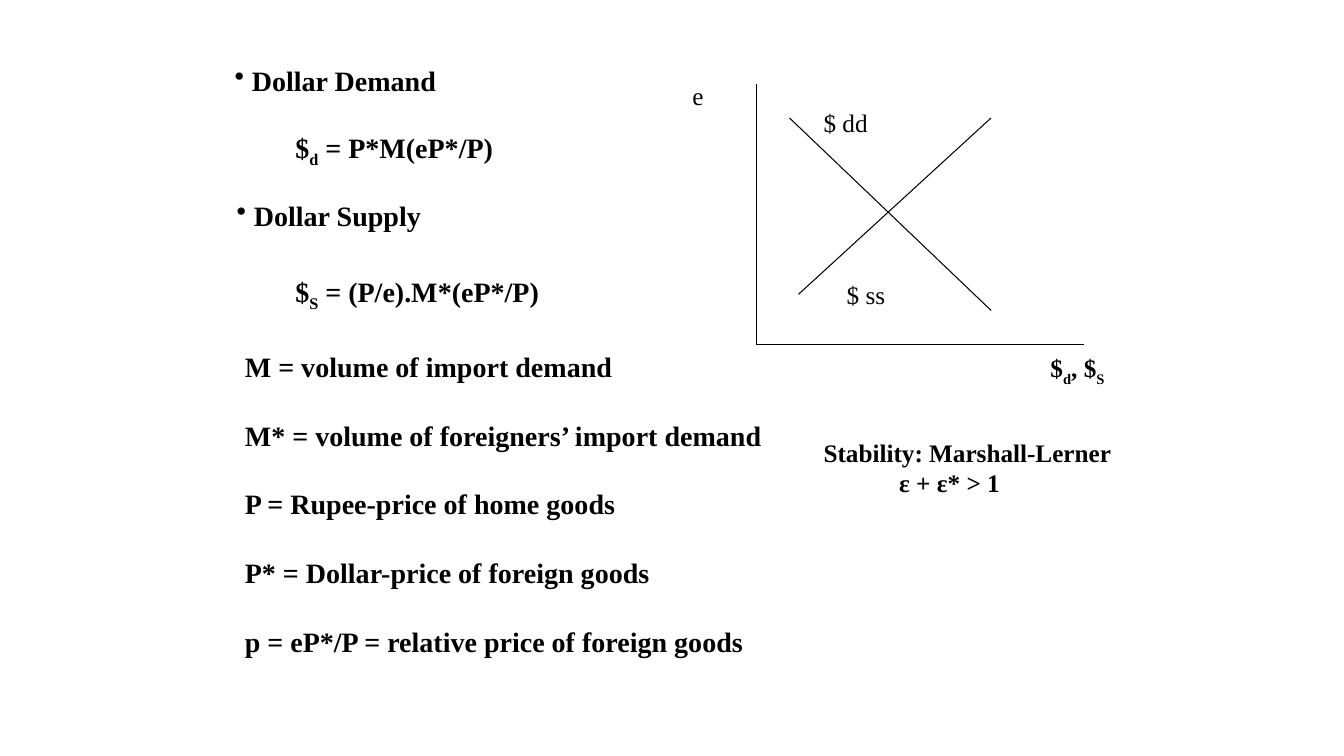
"""Build the slide on dollar demand, dollar supply and stability."""
from dataclasses import dataclass

from lxml.etree import SubElement
from pptx import Presentation
from pptx.dml.color import RGBColor
from pptx.enum.shapes import MSO_CONNECTOR
from pptx.enum.text import MSO_AUTO_SIZE
from pptx.oxml.ns import qn
from pptx.slide import Slide
from pptx.util import Inches, Pt


@dataclass(frozen=True)
class Theme:
    """Colours, font and type sizes."""
    ink: RGBColor = RGBColor(0, 0, 0)
    font: str = "Times New Roman"
    body: int = 20
    label: int = 18
    line: float = 0.75


@dataclass(frozen=True)
class Para:
    """One paragraph whose runs alternate between normal and subscript."""
    runs: tuple[str, ...]
    bullet: bool = False
    margin: float = 0
    before: float = 0


@dataclass(frozen=True)
class Note:
    """A text box with its place and style."""
    left: float
    top: float
    width: float
    height: float
    paras: tuple[Para, ...]
    size: int
    bold: bool = True
    wrap: bool = False


@dataclass(frozen=True)
class Line:
    """A straight line of the graph."""
    start: tuple[float, float]
    end: tuple[float, float]


THEME = Theme()
HANG = 0.17
GAP = 25
TERMS = (
    "M = volume of import demand",
    "M* = volume of foreigners’ import demand",
    "P = Rupee-price of home goods",
    "P* = Dollar-price of foreign goods",
    "p = eP*/P = relative price of foreign goods",
)
NOTES = (
    Note(2.23, 0.58, 2.2, 0.43, (Para(("Dollar Demand",), True, HANG),), THEME.body, wrap=True),
    Note(2.83, 1.25, 2.19, 0.44, (Para(("$", "d", " = P*M(eP*/P)")),), THEME.body),
    Note(2.25, 1.92, 2.03, 0.43, (Para(("Dollar Supply",), True, HANG),), THEME.body),
    Note(2.83, 2.67, 2.65, 0.44, (Para(("$", "S", " = (P/e).M*(eP*/P)")),), THEME.body),
    Note(2.33, 3.42, 5.36, 3.13,
         tuple(Para((term,), before=GAP if i else 0) for i, term in enumerate(TERMS)),
         THEME.body),
    Note(10.32, 3.45, 0.75, 0.4, (Para(("$", "d", ", $", "S")),), THEME.label),
    Note(8.07, 4.29, 3.06, 0.7,
         (Para(("Stability: Marshall-Lerner",)), Para(("ε + ε* > 1",), margin=0.75)),
         THEME.label),
    *(Note(left, top, 0.77, 0.4, (Para((text,)),), THEME.label, False, True)
      for text, left, top in (("$ dd", 8.07, 1.02), ("$ ss", 8.3, 2.72), ("e", 6.77, 0.75))),
)
LINES = (
    Line((7.5, 0.83), (7.5, 3.42)),
    Line((7.5, 3.42), (10.75, 3.42)),
    Line((7.83, 1.17), (9.83, 3.08)),
    Line((7.92, 2.92), (9.83, 1.17)),
)


def add_note(slide: Slide, note: Note) -> None:
    """Draw one text box."""
    box = slide.shapes.add_textbox(
        *map(Inches, (note.left, note.top, note.width, note.height)))
    frame = box.text_frame
    frame.word_wrap = note.wrap
    frame.auto_size = MSO_AUTO_SIZE.SHAPE_TO_FIT_TEXT
    style = {"name": THEME.font, "size": Pt(note.size), "bold": note.bold}
    for i, item in enumerate(note.paras):
        para = frame.add_paragraph() if i else frame.paragraphs[0]
        props = para._p.get_or_add_pPr()
        if item.margin:
            props.set("marL", str(Inches(item.margin)))
        if item.bullet:
            props.set("indent", str(-Inches(item.margin)))
            SubElement(props, qn("a:buChar")).set("char", "•")
        if item.before:
            para.space_before = Pt(item.before)
        for j, text in enumerate(item.runs):
            run = para.add_run()
            run.text = text
            for key, value in style.items():
                setattr(run.font, key, value)
            run.font.color.rgb = THEME.ink
            if j % 2:
                run._r.get_or_add_rPr().set("baseline", "-25000")


def add_line(slide: Slide, line: Line) -> None:
    """Draw one line of the graph."""
    link = slide.shapes.add_connector(
        MSO_CONNECTOR.STRAIGHT, *map(Inches, line.start + line.end))
    link.line.width = Pt(THEME.line)
    link.line.color.rgb = THEME.ink
    SubElement(link._element.spPr, qn("a:effectLst"))


def main() -> None:
    """Build and save the slide."""
    deck = Presentation()
    deck.slide_width, deck.slide_height = Inches(13.33), Inches(7.5)
    slide = deck.slides.add_slide(deck.slide_layouts[6])
    for line in LINES:
        add_line(slide, line)
    for note in NOTES:
        add_note(slide, note)
    deck.save("out.pptx")


if __name__ == "__main__":
    main()
